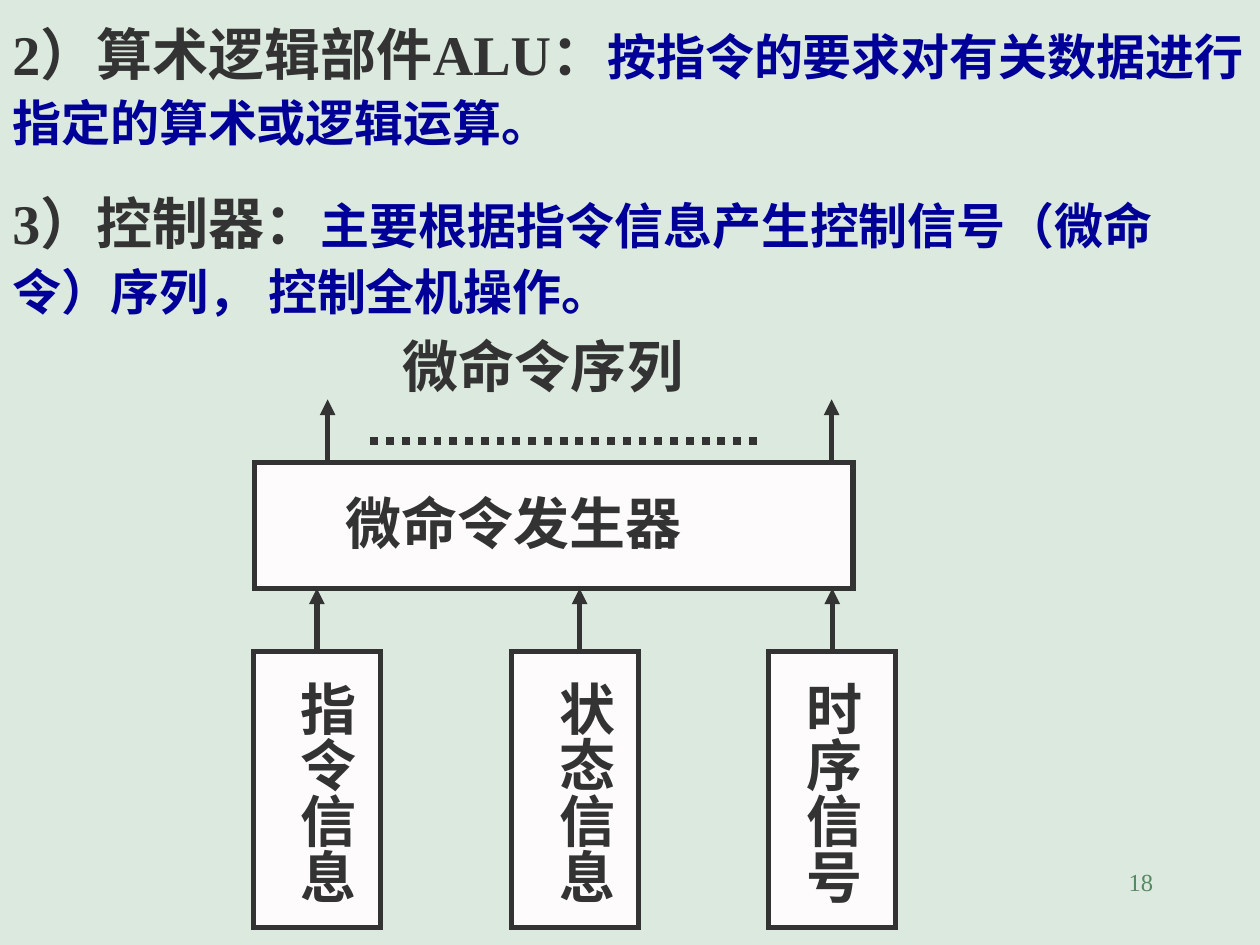
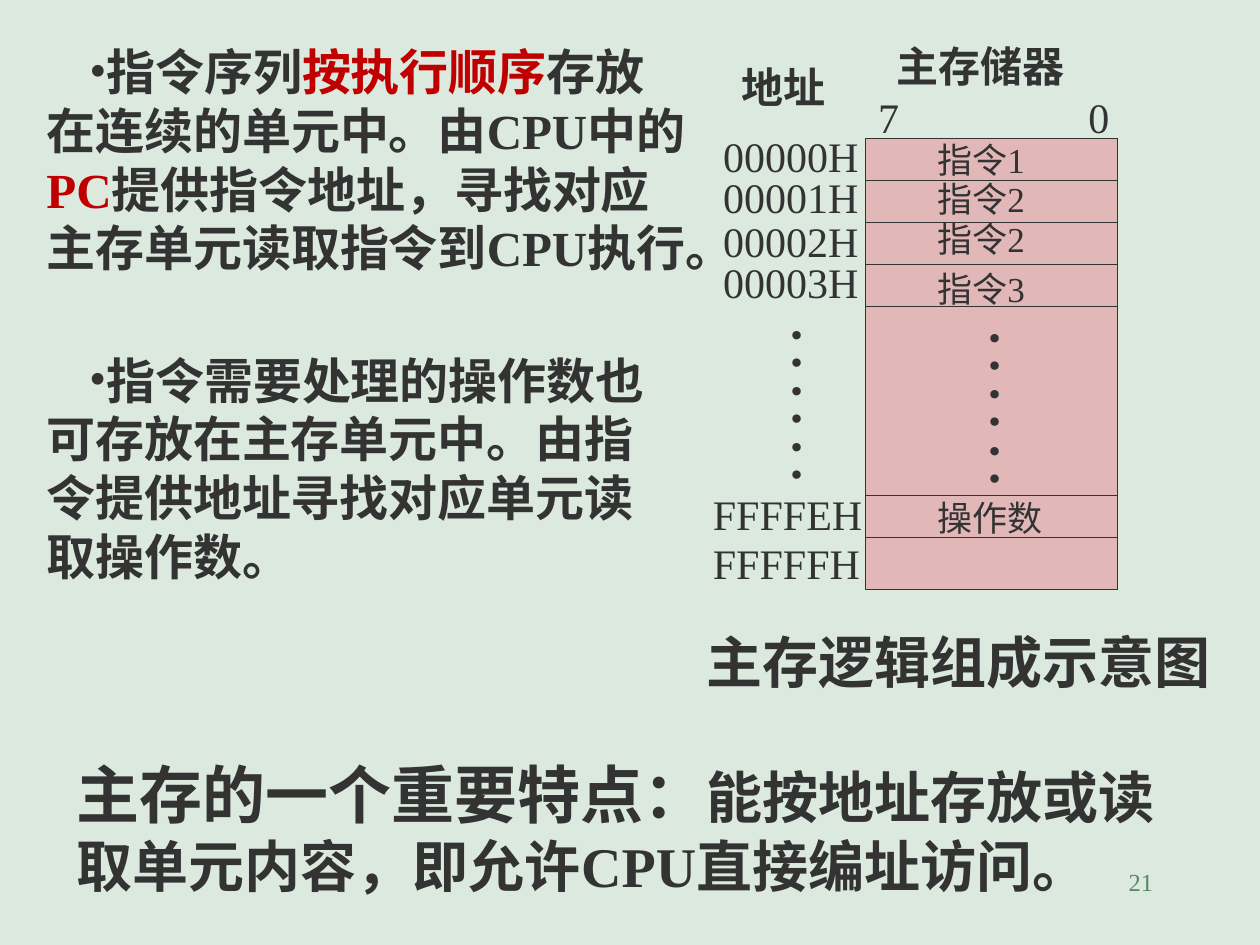
"""Builds two lecture slides: the controller of a CPU and the organisation of main memory."""
import pptx
import pptx.dml.color
import pptx.enum.dml
import pptx.enum.shapes
import pptx.enum.text
import pptx.oxml.ns
import pptx.util
from lxml import etree

Inches = pptx.util.Inches
Pt = pptx.util.Pt
RGB = pptx.dml.color.RGBColor
qn = pptx.oxml.ns.qn

FONT = "Times New Roman"
BACKGROUND = RGB(0xDC, 0xE9, 0xDF)
INK = RGB(0x33, 0x33, 0x33)
BLUE = RGB(0x00, 0x00, 0x99)
RED = RGB(0xC0, 0x00, 0x00)
PAGE_GREEN = RGB(0x57, 0x89, 0x63)
BOX_WHITE = RGB(0xFD, 0xFB, 0xFB)
MEMORY_PINK = RGB(0xE1, 0xB7, 0xB7)

DEFINITIONS = [
    (0.05, 10.03, "2）算术逻辑部件ALU：", "按指令的要求对有关数据进行指定的算术或逻辑运算。"),
    (1.39, 10, "3）控制器：", "主要根据指令信息产生控制信号（微命令）序列， 控制全机操作。"),
]
OUTPUT = ("微命令序列", (3.1, 2.58, 2.76, 0.63))
GENERATOR = ("微命令发生器", (2.64, 3.83, 4.51, 0.63))
GENERATOR_BOX = (2.02, 3.67, 4.75, 1)
OUTPUT_ARROWS = [2.6, 6.6]
INPUTS = [
    ("指令信息", 2.01, 0.17, 2.52), ("状态信息", 4.06, 0.17, 4.6), ("时序信号", 6.1, 0.09, 6.6),
]
INPUT_TOP, INPUT_WIDTH, INPUT_HEIGHT = 5.17, 1.01, 2.19
ARROW_LENGTH = 0.5
JOIN_TOLERANCE = 0.01

MEMORY_BOX = (6.87, 1.1, 2, 3.58)
CELL_HEIGHT = 1 / 3
DIVIDERS = [1.1 + CELL_HEIGHT * row for row in (1, 2, 3, 4, 8.5, 9.5)]
ADDRESSES = [
    ("00000H", 5.64, 0.99), ("00001H", 5.64, 1.31), ("00002H", 5.64, 1.66),
    ("00003H", 5.64, 1.99), ("FFFFEH", 5.56, 3.83), ("FFFFFH", 5.56, 4.22),
]
CELLS = [("指令1", 1.05), ("指令2", 1.36), ("指令2", 1.68), ("指令3", 2.07), ("操作数", 3.89)]
ELLIPSES = [(5.8, 2.48), (7.37, 2.51)]
HEADINGS = [("地址", (5.79, 0.44, 1.18, 0.5)), ("主存储器", (7.02, 0.27, 2.1, 0.5))]
BIT_NUMBERS = ("7\t0", (6.87, 0.68, 2.25, 0.5))
CAPTION = ("主存逻辑组成示意图", (5.51, 4.93, 4.49, 0.63))
POINTS = [
    ((0.27, 0.28, 5.28, 2.44), [
        ("指令序列", {}), ("按执行顺序", {"color": RED}),
        ("存放在连续的单元中。由CPU中的", {}), ("PC", {"color": RED}),
        ("提供指令地址，寻找对应主存单元读取指令到CPU执行。", {})]),
    ((0.27, 2.73, 5.16, 1.97), [
        ("指令需要处理的操作数也可存放在主存单元中。由指令提供地址寻找对应单元读取操作数。", {})]),
]
FEATURE = ((0.51, 5.95, 8.9, 1.23), [
    ("主存的一个重要特点：", {"size": 36}),
    ("能按地址存放或读取单元内容，即允许CPU直接编址访问。", {})])


def style(font, size=None, color=None, bold=None):
    if size:
        font.size = Pt(size)
    if color is not None:
        font.color.rgb = color
    if bold is not None:
        font.bold = bold


def write(slide, place, runs, size=32, color=INK, bold=True, wrap=True,
          vertical=False, spacing=None, align=None, tab=None, bullet_indent=None):
    frame = slide.shapes.add_textbox(*map(Inches, place)).text_frame
    frame.word_wrap = wrap
    if vertical:
        frame._txBody.bodyPr.set("vert", "eaVert")
    paragraph = frame.paragraphs[0]
    properties = paragraph._p.get_or_add_pPr()
    if bullet_indent:
        properties.set("marL", "0")
        properties.set("indent", str(Inches(bullet_indent)))
        etree.SubElement(properties, qn("a:buFont"), typeface=FONT)
        etree.SubElement(properties, qn("a:buChar"), char="•")
    if tab:
        stops = etree.SubElement(properties, qn("a:tabLst"))
        etree.SubElement(stops, qn("a:tab"), pos=str(Inches(tab)), algn="l")
    paragraph.font.name = FONT
    style(paragraph.font, size, color, bold)
    if spacing:
        paragraph.line_spacing = spacing
    if align is not None:
        paragraph.alignment = align
    for text, changes in [(runs, {})] if isinstance(runs, str) else runs:
        run = paragraph.add_run()
        run.text = text
        style(run.font, **changes)


def box(slide, place, fill, width):
    shape = slide.shapes.add_shape(pptx.enum.shapes.MSO_SHAPE.RECTANGLE, *map(Inches, place))
    shape.shadow.inherit = False
    shape.fill.solid()
    shape.fill.fore_color.rgb = fill
    shape.line.color.rgb = INK
    shape.line.width = Pt(width)
    etree.SubElement(shape.line._get_or_add_ln(), qn("a:miter"), lim="800000")
    return shape


def line(slide, start, end, width, arrow=False):
    connector = slide.shapes.add_connector(
        pptx.enum.shapes.MSO_CONNECTOR.STRAIGHT, *map(Inches, start + end))
    connector.line.color.rgb = INK
    connector.line.width = Pt(width)
    if arrow:
        etree.SubElement(connector.line._get_or_add_ln(), qn("a:tailEnd"), type="triangle")
    etree.SubElement(connector._element.spPr, qn("a:effectLst"))
    return connector


def new_slide(deck, number):
    slide = deck.slides.add_slide(deck.slide_layouts[6])
    slide.background.fill.solid()
    slide.background.fill.fore_color.rgb = BACKGROUND
    write(slide, (7.17, 6.83, 2.08, 0.5), number, 14, PAGE_GREEN, False,
          align=pptx.enum.text.PP_ALIGN.RIGHT)
    return slide


def controller_slide(deck):
    slide = new_slide(deck, "18")
    for top, width, term, meaning in DEFINITIONS:
        write(slide, (0, top, width, 1.21),
              [(term, {}), (meaning, {"size": 28, "color": BLUE})], spacing=1.1)

    generator_top = GENERATOR_BOX[1]
    generator_bottom = generator_top + GENERATOR_BOX[3]
    box(slide, GENERATOR_BOX, BOX_WHITE, 3)
    for x in OUTPUT_ARROWS:
        line(slide, (x, generator_top), (x, generator_top - ARROW_LENGTH), 3, arrow=True)
    dots = line(slide, (2.94, 3.5), (6.05, 3.5), 4.5)
    dots.line.dash_style = pptx.enum.dml.MSO_LINE.ROUND_DOT
    for label, place in (OUTPUT, GENERATOR):
        write(slide, place, label)

    for label, left, inset, arrow_x in INPUTS:
        source = box(slide, (left, INPUT_TOP, INPUT_WIDTH, INPUT_HEIGHT), BOX_WHITE, 3)
        center = left + INPUT_WIDTH / 2
        centered = abs(center - arrow_x) < JOIN_TOLERANCE
        x = center if centered else arrow_x
        arrow = line(slide, (x, INPUT_TOP), (x, generator_bottom), 3, arrow=True)
        if centered:
            arrow.begin_connect(source, 0)
        write(slide, (left + inset, 5.31, 0.73, INPUT_HEIGHT), label, vertical=True)


def memory_slide(deck):
    slide = new_slide(deck, "21")
    left, _, width, _ = MEMORY_BOX
    box(slide, MEMORY_BOX, MEMORY_PINK, 1)
    for y in DIVIDERS:
        line(slide, (left, y), (left + width, y), 1)
    for address, x, y in ADDRESSES:
        write(slide, (x, y, 1.5, 0.5), address, 24, bold=False)
    for content, y in CELLS:
        write(slide, (7.34, y, 1.11, 0.45), content, 20, bold=False)
    for x, y in ELLIPSES:
        write(slide, (x, y, 0.73, 1.75), "：：：", bold=False, vertical=True)
    for heading, place in HEADINGS:
        write(slide, place, heading, 24)
    bits, place = BIT_NUMBERS
    write(slide, place, bits, 24, bold=False, tab=1.67)

    caption, place = CAPTION
    write(slide, place, caption)
    for place, runs in POINTS:
        write(slide, place, runs, 28, bullet_indent=0.34)
    place, runs = FEATURE
    write(slide, place, runs)


def main():
    deck = pptx.Presentation()
    deck.slide_width, deck.slide_height = Inches(10), Inches(7.5)
    controller_slide(deck)
    memory_slide(deck)
    deck.save("out.pptx")


if __name__ == "__main__":
    main()
